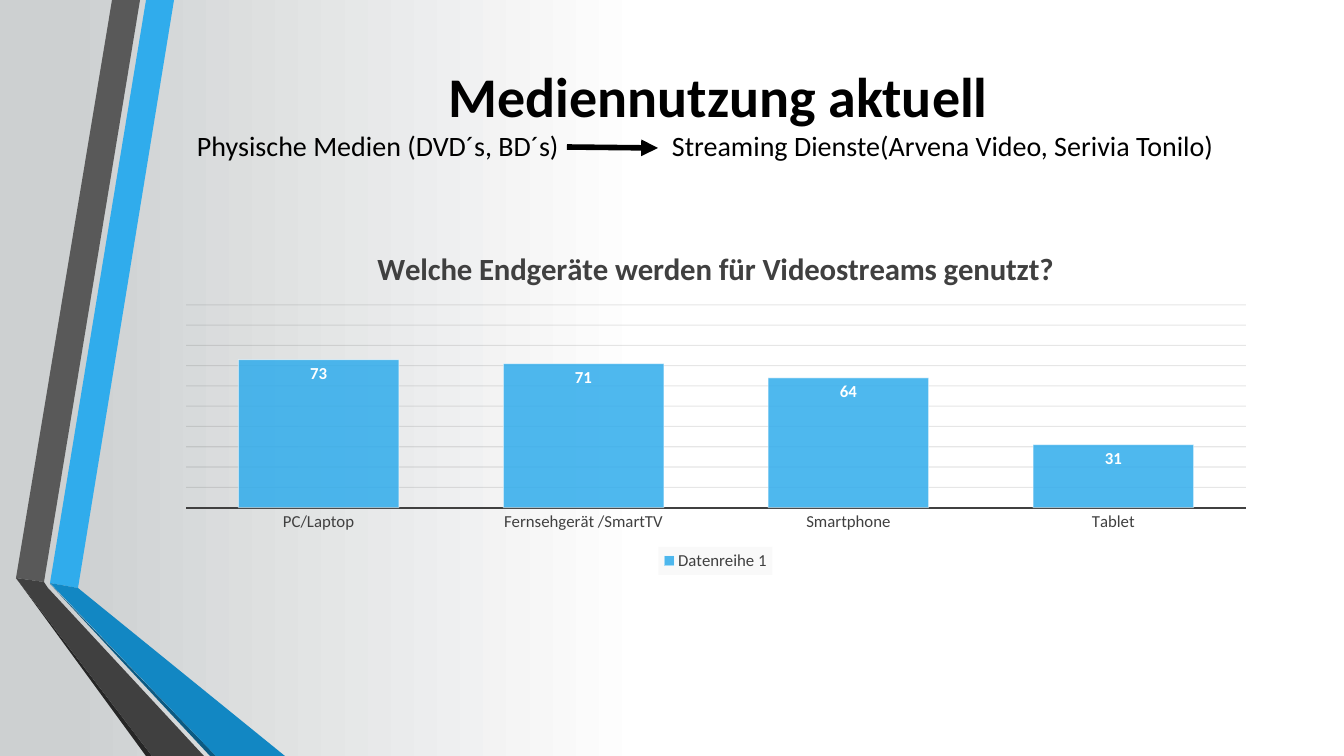
import pptx
import pptx.util
import pptx.chart.data
import pptx.dml.color
import pptx.enum.chart
import pptx.enum.shapes
import pptx.enum.text
import pptx.oxml
import pptx.oxml.ns

RGBColor = pptx.dml.color.RGBColor
BLACK = RGBColor(0, 0, 0)
WHITE = RGBColor(255, 255, 255)
INK = RGBColor(0x40, 0x40, 0x40)
GRID = RGBColor(0x0D, 0x0D, 0x0D)
BLUE = RGBColor(0x30, 0xAC, 0xEC)
MIST = RGBColor(0xCD, 0xD0, 0xD1)
FONT = "Calibri"
SCALE = 914400 / 100.8

TITLE = "Mediennutzung aktuell"
SHIFT = ("Physische Medien (DVD´s, BD´s)", "Streaming Dienste(Arvena Video, Serivia Tonilo)")
HEADING = "Welche Endgeräte werden für Videostreams genutzt?"
SERIES = "Datenreihe 1"
DEVICES = {"PC/Laptop": 73, "Fernsehgerät /SmartTV": 71, "Smartphone": 64, "Tablet": 31}
RIBBONS = [
    (BLUE, [(50, 583), (78, 588), (174, 0), (146, 0)]),
    (RGBColor(0x59, 0x59, 0x59), [(140, 0), (112, 0), (16, 578), (44, 582)]),
    (RGBColor(0x26, 0x26, 0x26), [(16, 578), (146, 756), (152, 756)]),
    (RGBColor(0x0C, 0x5A, 0x82), [(50, 584), (210, 756), (216, 756)]),
    (RGBColor(0x12, 0x87, 0xC3), [(50, 583), (216, 756), (285, 756), (78, 588)]),
    (INK, [(204, 756), (48, 588), (44, 582), (16, 578), (152, 756)]),
]
TITLE_BOX = (163, 15, 1105, 194)
TITLE_INSETS = (34, 28)
TAB_STOP = 475
CHART_BOX = (163, 230, 1105, 345)
PLOT_BOX = (186, 305, 1060, 203)
ARROW = (567, 147, 658, 148)


def px(length):
    return round(length * SCALE)


def element(tag, **attributes):
    node = pptx.oxml.parse_xml(f"<{tag} {pptx.oxml.ns.nsdecls(tag.split(':')[0])}/>")
    for name, value in attributes.items():
        node.set(name, str(value))
    return node


def set_alpha(properties, percent):
    for color in properties.iter(pptx.oxml.ns.qn("a:srgbClr")):
        color.append(element("a:alpha", val=percent * 1000))


def style(font, size, color=INK, bold=False):
    font.name, font.size, font.bold = FONT, pptx.util.Pt(size), bold
    font.color.rgb = color


def write(para, text, size, color=BLACK, bold=False, align="LEFT"):
    para.alignment = getattr(pptx.enum.text.PP_ALIGN, align)
    span = para.add_run()
    span.text = text
    style(span.font, size, color, bold)


def add_ribbon(page, color, points):
    builder = page.shapes.build_freeform(*points[0], scale=SCALE)
    builder.add_line_segments(points[1:], close=True)
    ribbon = builder.convert_to_shape()
    ribbon.shadow.inherit = False
    ribbon.fill.solid()
    ribbon.fill.fore_color.rgb = color
    ribbon.line.fill.background()


def add_title(page):
    box = page.shapes.add_textbox(*map(px, TITLE_BOX))
    frame = box.text_frame
    frame.word_wrap = True
    frame.vertical_anchor = pptx.enum.text.MSO_ANCHOR.MIDDLE
    frame.margin_left, frame.margin_right = map(px, TITLE_INSETS)
    write(frame.paragraphs[0], TITLE, 40, bold=True, align="CENTER")
    para = frame.add_paragraph()
    write(para, "\t".join(SHIFT), 20)
    tabs = element("a:tabLst")
    tabs.append(element("a:tab", pos=px(TAB_STOP), algn="l"))
    para._p.get_or_add_pPr().append(tabs)


def place_plot(chart):
    area = chart._chartSpace.chart.plotArea
    for old in area.findall(pptx.oxml.ns.qn("c:layout")):
        area.remove(old)
    left, top, width, height = CHART_BOX
    x, y, w, h = PLOT_BOX
    layout, manual = element("c:layout"), element("c:manualLayout")
    layout.append(manual)
    settings = [("layoutTarget", "inner"), ("xMode", "edge"), ("yMode", "edge"),
                ("x", round((x - left) / width, 3)), ("y", round((y - top) / height, 3)),
                ("w", round(w / width, 3)), ("h", round(h / height, 3))]
    for name, value in settings:
        manual.append(element(f"c:{name}", val=value))
    area.insert(0, layout)


def style_axes(chart):
    ticks = pptx.enum.chart.XL_TICK_MARK
    category = chart.category_axis
    category.major_tick_mark = ticks.NONE
    style(category.tick_labels.font, 12)
    category.format.line.color.rgb = INK
    category.format.line.width = pptx.util.Pt(1.5)
    value = chart.value_axis
    value.visible = False
    value.minimum_scale, value.maximum_scale, value.major_unit = 0, 100, 10
    value.has_major_gridlines = True
    line = value.major_gridlines.format.line
    line.color.rgb = GRID
    line.width = pptx.util.Pt(0.75)
    set_alpha(value._element.find(pptx.oxml.ns.qn("c:majorGridlines")), 10)


def style_bars(plot):
    plot.gap_width = 65
    plot.vary_by_categories = False
    series = plot.series[0]
    series.format.fill.solid()
    series.format.fill.fore_color.rgb = BLUE
    set_alpha(series._element.spPr, 85)
    series.format.line.color.rgb = WHITE
    series.format.line.width = pptx.util.Pt(0.75)
    set_alpha(series._element.spPr.find(pptx.oxml.ns.qn("a:ln")), 50)
    labels = series.data_labels
    labels.show_value = True
    labels.position = pptx.enum.chart.XL_LABEL_POSITION.INSIDE_END
    style(labels.font, 12, WHITE, True)


def style_legend(chart):
    chart.has_legend = True
    legend = chart.legend
    legend.position = pptx.enum.chart.XL_LEGEND_POSITION.BOTTOM
    legend.include_in_layout = False
    style(legend.font, 12)
    panel, fill = element("c:spPr"), element("a:solidFill")
    fill.append(element("a:srgbClr", val="F2F2F2"))
    panel.append(fill)
    set_alpha(panel, 39)
    legend._element.find(pptx.oxml.ns.qn("c:txPr")).addprevious(panel)


def add_device_chart(page):
    data = pptx.chart.data.CategoryChartData()
    data.categories = list(DEVICES)
    data.add_series(SERIES, list(DEVICES.values()))
    kind = pptx.enum.chart.XL_CHART_TYPE.COLUMN_CLUSTERED
    chart = page.shapes.add_chart(kind, *map(px, CHART_BOX), data).chart
    style(chart.font, 10, BLACK)
    chart.has_title = True
    write(chart.chart_title.text_frame.paragraphs[0], HEADING, 22, INK, True, "CENTER")
    chart.chart_title.include_in_layout = False
    style_axes(chart)
    style_bars(chart.plots[0])
    style_legend(chart)
    place_plot(chart)


def add_arrow(page):
    kind = pptx.enum.shapes.MSO_CONNECTOR.STRAIGHT
    arrow = page.shapes.add_connector(kind, *map(px, ARROW))
    arrow.line.color.rgb = BLACK
    arrow.line.width = pptx.util.Pt(4)
    arrow.line._get_or_add_ln().append(element("a:tailEnd", type="triangle"))
    arrow._element.spPr.append(element("a:effectLst"))


deck = pptx.Presentation()
deck.slide_width, deck.slide_height = px(1344), px(756)
page = deck.slides.add_slide(deck.slide_layouts[6])
backdrop = page.background.fill
backdrop.gradient()
backdrop.gradient_angle = 0
for stop, color, position in zip(backdrop.gradient_stops, (MIST, WHITE), (0.05, 0.48)):
    stop.color.rgb = color
    stop.position = position
for color, points in RIBBONS:
    add_ribbon(page, color, points)
add_title(page)
add_device_chart(page)
add_arrow(page)
deck.save("out.pptx")
